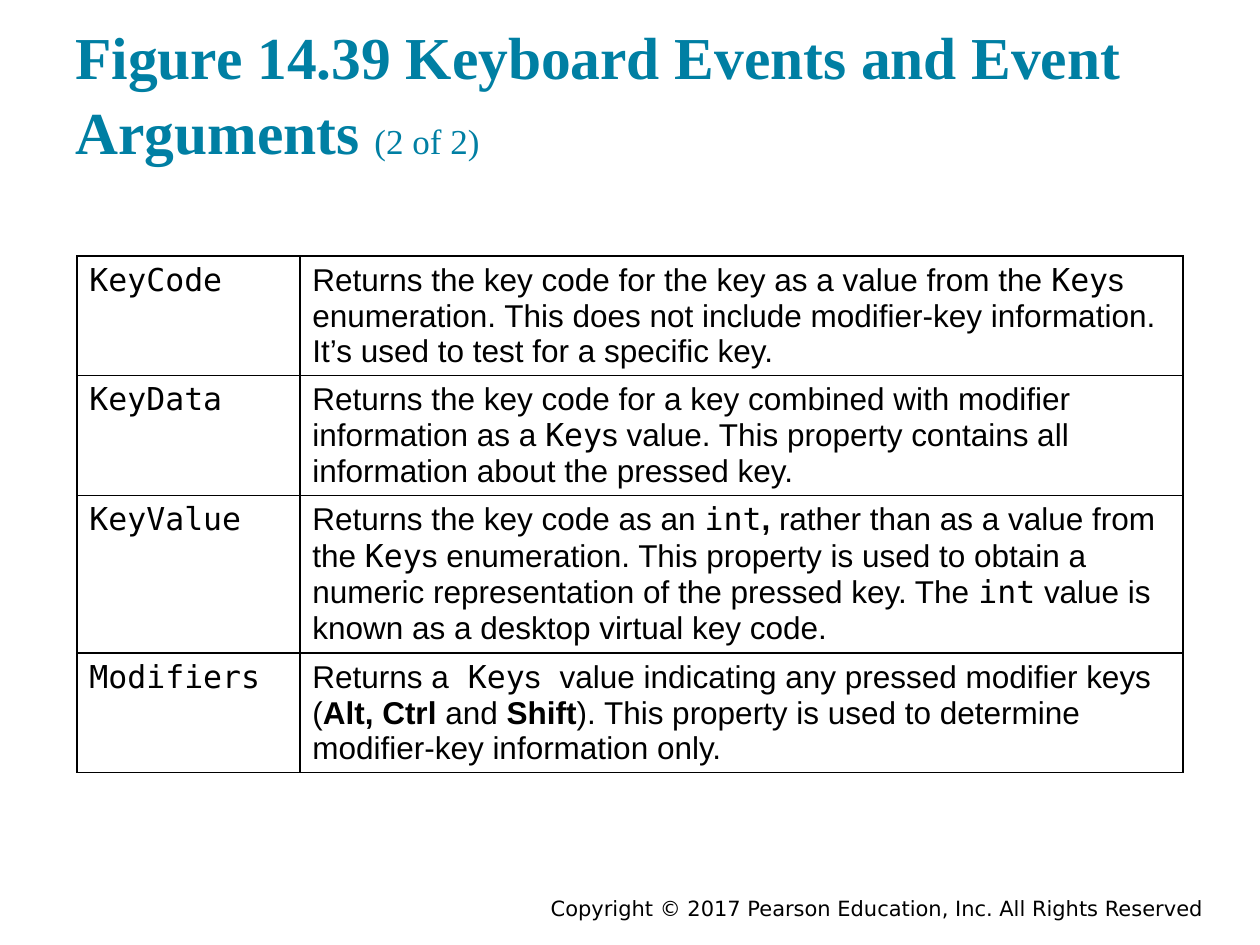
"""Build the slide that lists the keyboard event argument properties."""
from dataclasses import dataclass

from lxml import etree
from pptx import Presentation
from pptx.dml.color import RGBColor
from pptx.enum import text
from pptx.oxml import ns
from pptx.util import Inches, Pt


@dataclass(frozen=True)
class Theme:
    """Colours, fonts and type sizes of the slide."""
    accent: RGBColor = RGBColor(0x00, 0x7F, 0xA3)
    ink: RGBColor = RGBColor(0, 0, 0)
    heading: str = "Times New Roman"
    sans: str = "Arial"
    mono: str = "DejaVu Sans Mono"
    footer: str = "DejaVu Sans"
    title_size: Pt = Pt(34)
    part_size: Pt = Pt(20)
    body_size: Pt = Pt(18)
    footer_size: Pt = Pt(12)
    border: Pt = Pt(1)


THEME = Theme()
COLUMN_WIDTHS = (1.77, 7.01)
ROW_HEIGHTS = (0.95, 0.95, 1.24, 0.95)
PROPERTIES = (
    ("KeyCode", (
        ("sans", "Returns the key code for the key as a value from the "),
        ("mono", "Key"),
        ("sans", "s enumeration. This does not include modifier-key "
                 "information. It’s used to test for a specific key."))),
    ("KeyData", (
        ("sans", "Returns the key code for a key combined with modifier "
                 "information as a "),
        ("mono", "Key"),
        ("sans", "s value. This property contains all information about "
                 "the pressed key."))),
    ("KeyValue", (
        ("sans", "Returns the key code as an "),
        ("mono", "int"),
        ("bold", ","),
        ("sans", " rather than as a value from the "),
        ("mono", "Key"),
        ("sans", "s enumeration. This property is used to obtain a numeric "
                 "representation of the pressed key. The "),
        ("mono", "int"),
        ("sans", " value is known as a desktop virtual key code."))),
    ("Modifiers", (
        ("sans", "Returns a"),
        ("mono", " Key"),
        ("sans", "s"),
        ("mono", " "),
        ("sans", "value indicating any pressed modifier keys ("),
        ("bold", "Alt, Ctrl "),
        ("sans", "and "),
        ("bold", "Shift"),
        ("sans", "). This property is used to determine modifier-key "
                 "information only."))),
)


def set_font(font, name, size, color):
    """Give a font its face, size and colour."""
    font.name = name
    font.size = size
    font.color.rgb = color


def add_title(slide, heading, part):
    """Fill the title placeholder with a bold heading and a small part number."""
    title = slide.shapes.title
    title.left, title.top = Inches(0.5), Inches(0.25)
    title.width, title.height = Inches(9), Inches(1.17)
    frame = title.text_frame
    frame.auto_size = text.MSO_AUTO_SIZE.NONE
    frame.vertical_anchor = text.MSO_ANCHOR.BOTTOM
    frame.margin_left = frame.margin_right = Inches(0.1)
    frame.margin_top = frame.margin_bottom = Inches(0.1)
    paragraph = frame.paragraphs[0]
    paragraph.alignment = text.PP_ALIGN.LEFT
    paragraph.line_spacing = 1.05
    for words, size, bold in ((heading, THEME.title_size, True),
                              (part, THEME.part_size, False)):
        run = paragraph.add_run()
        run.text = words
        set_font(run.font, THEME.heading, size, THEME.accent)
        run.font.bold = bold


def style_cell(cell):
    """Clear a cell's fill and rule all four of its sides."""
    properties = cell._tc.get_or_add_tcPr()
    for side in ("lnL", "lnR", "lnT", "lnB"):
        line = etree.SubElement(properties, ns.qn(f"a:{side}"),
                                w=str(THEME.border))
        fill = etree.SubElement(line, ns.qn("a:solidFill"))
        etree.SubElement(fill, ns.qn("a:srgbClr"), val=str(THEME.ink))
    cell.fill.background()


def write_cell(cell, pieces):
    """Write styled pieces of text into a cell."""
    style_cell(cell)
    paragraph = cell.text_frame.paragraphs[0]
    set_font(paragraph.font, THEME.sans, THEME.body_size, THEME.ink)
    for style, words in pieces:
        run = paragraph.add_run()
        run.text = words
        face = THEME.mono if style == "mono" else THEME.sans
        set_font(run.font, face, THEME.body_size, THEME.ink)
        run.font.bold = style == "bold"


def add_property_table(slide):
    """Add the table of property names and descriptions."""
    table = slide.shapes.add_table(
        len(PROPERTIES), len(COLUMN_WIDTHS), Inches(0.61), Inches(2.03),
        Inches(sum(COLUMN_WIDTHS)), Inches(sum(ROW_HEIGHTS))).table
    table.first_row = table.horz_banding = False
    for column, width in zip(table.columns, COLUMN_WIDTHS):
        column.width = Inches(width)
    for row, height, (name, description) in zip(table.rows, ROW_HEIGHTS,
                                                PROPERTIES):
        row.height = Inches(height)
        write_cell(row.cells[0], [("mono", name)])
        write_cell(row.cells[1], description)


def add_copyright(slide, notice):
    """Add the right-aligned copyright line."""
    frame = slide.shapes.add_textbox(Inches(3), Inches(7.08), Inches(6.65),
                                     Inches(0.25)).text_frame
    frame.word_wrap = True
    frame.vertical_anchor = text.MSO_ANCHOR.MIDDLE
    paragraph = frame.paragraphs[0]
    paragraph.text = notice
    paragraph.alignment = text.PP_ALIGN.RIGHT
    set_font(paragraph.font, THEME.footer, THEME.footer_size, THEME.ink)


def main():
    """Build and save the presentation."""
    deck = Presentation()
    deck.slide_width, deck.slide_height = Inches(10), Inches(7.5)
    slide = deck.slides.add_slide(deck.slide_layouts.get_by_name("Title Only"))
    add_title(slide, "Figure 14.39 Keyboard Events and Event Arguments ",
              "(2 of 2)")
    add_property_table(slide)
    add_copyright(slide, "Copyright © 2017 Pearson Education, Inc. "
                         "All Rights Reserved")
    deck.save("out.pptx")


if __name__ == "__main__":
    main()
